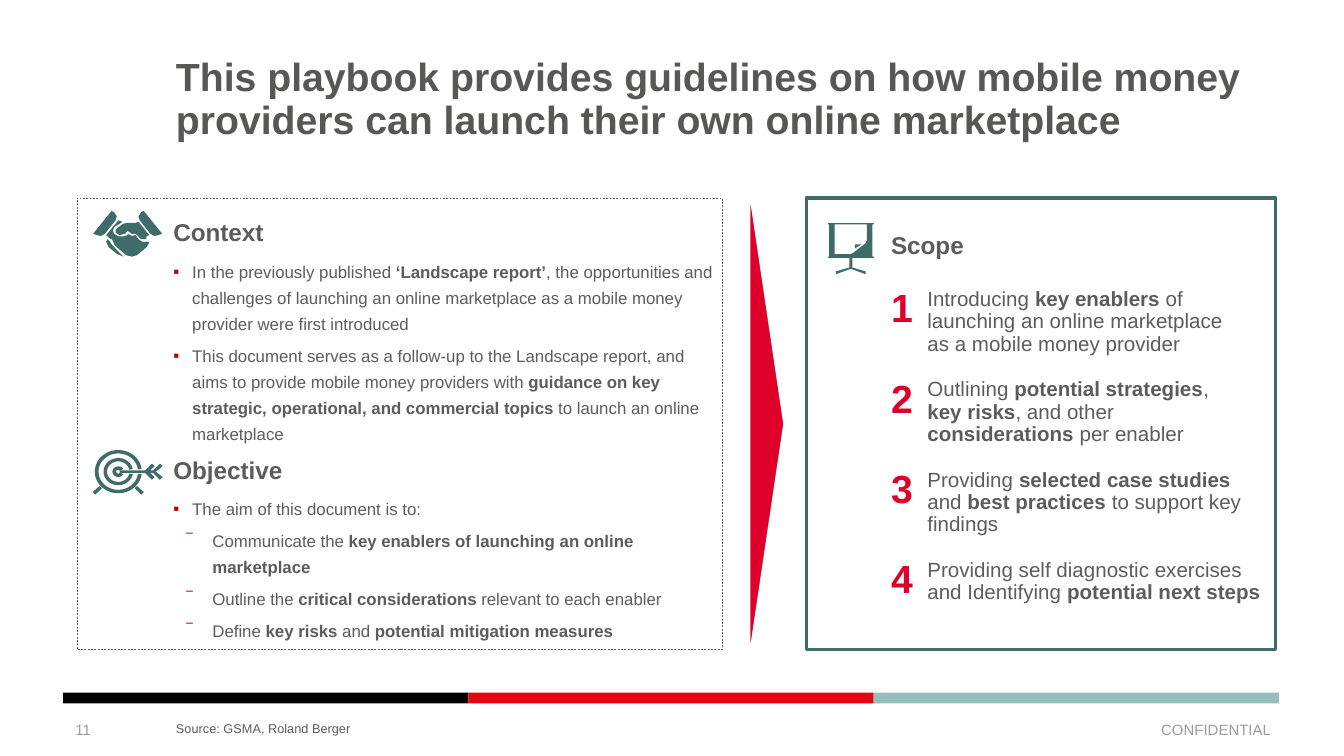
from math import cos, sin, radians

from lxml import etree
from pptx import Presentation
from pptx.dml.color import RGBColor
from pptx.enum.dml import MSO_LINE
from pptx.enum.shapes import MSO_SHAPE
from pptx.enum.text import MSO_ANCHOR, PP_ALIGN
from pptx.oxml.ns import qn
from pptx.util import Pt

TEAL, RED, GREY = "3F6B69", "DE002B", "5C5C5C"
BULLETS = {1: ("▪", 10.1, -10.1), 2: ("‾", 20.9, -13.7)}

CONTEXT = [
    (1, "In the previously published **‘Landscape report’**, the opportunities and challenges "
        "of launching an online marketplace as a mobile money provider were first introduced"),
    (1, "This document serves as a follow-up to the Landscape report, and aims to provide mobile "
        "money providers with **guidance on key strategic, operational, and commercial topics** "
        "to launch an online marketplace"),
]
OBJECTIVE = [
    (1, "The aim of this document is to:"),
    (2, "Communicate the **key enablers of launching an online marketplace**"),
    (2, "Outline the **critical considerations **relevant to each enabler"),
    (2, "Define **key risks **and **potential mitigation measures**"),
]
SCOPE = [
    "Introducing **key enablers **of launching an online marketplace as a mobile money provider",
    "Outlining **potential strategies**, **key risks**, and other **considerations** per enabler",
    "Providing **selected case studies **and **best practices **to support key findings",
    "Providing self diagnostic exercises and Identifying **potential next steps**",
]

# Icon outlines, in points on the slide
HANDS = [
    [(63.4, 118.1), (65.5, 118.8), (64.8, 119.5), (61.2, 121.7), (60.5, 123.8), (61.2, 125.3),
     (63.4, 126.7), (66.2, 126.7), (68.4, 126), (68.4, 125.3), (70.6, 126.4), (72.7, 126),
     (74.2, 128.2), (76.3, 129.6), (79.9, 129.6), (79.9, 130.3), (78.5, 132.5), (73.4, 136.8),
     (70.6, 137.5), (67.7, 136.8), (62.6, 132.5), (61.2, 131), (60.5, 128.9), (59.8, 128.2),
     (58.3, 127.4), (56.9, 126)],
    [(74.2, 118.8), (72.7, 119.5), (67.7, 119.5), (65.5, 120.2), (61.9, 123.1), (61.9, 124.6),
     (64.1, 126), (67, 125.3), (68.4, 123.8), (70.6, 125.3), (72.7, 125.3), (75.6, 128.2),
     (78.5, 128.2), (78.5, 126.7), (79.9, 126)],
    [(66.2, 137.5), (62.6, 136.1), (58.3, 132.5), (56.9, 129.6), (57.6, 128.2), (59, 129.6),
     (59.8, 131), (61.9, 133.2)],
]
SLEEVE = [(49.9, 125.3), (51.8, 126), (54, 126.5), (56.2, 125.3), (61.9, 118.1), (62.6, 115.9),
          (61.2, 113.8), (59.8, 113)]
EASEL_HALF = [(455.8, 119.5), (443.5, 119.5), (443.5, 120.2), (444.2, 120.2), (444.2, 137.5),
              (443.5, 137.5), (443.5, 138.2), (455, 138.2), (455, 143.3), (447.8, 145.4),
              (447.8, 146.9), (455.8, 144)]
EASEL_SHEET = [(464.4, 128.9), (463.7, 130.3), (457.2, 135.4), (455.8, 136.1), (447.1, 136.1),
               (447.1, 120.2), (464.4, 120.2)]
EASEL_FOLD = [(457.9, 131), (457.9, 133.2), (461.5, 131)]
ARROW = [(85.7, 257), (87.1, 255.6), (83.5, 252.7), (87.1, 249.8), (85.7, 248.4), (82.1, 252),
         (80.6, 252), (82.8, 249.8), (81.4, 248.4), (77.8, 252), (64.1, 252), (64.1, 253.4),
         (77.8, 253.4), (81.4, 257), (82.8, 255.6), (80.6, 253.4), (82.1, 253.4)]
TARGET_FOOT = [(49.7, 263.7), (51.1, 265), (54.7, 261.6), (53.3, 260.4)]


def rgb(value):
    return RGBColor.from_string(value)


def style(sp, fill=None, line=None, width=1):
    sp.shadow.inherit = False
    if fill:
        sp.fill.solid()
        sp.fill.fore_color.rgb = rgb(fill)
    else:
        sp.fill.background()
    if line:
        sp.line.color.rgb = rgb(line)
        sp.line.width = Pt(width)
    else:
        sp.line.fill.background()
    return sp


def add_preset(s, kind, box, **look):
    return style(s.shapes.add_shape(kind, *map(Pt, box)), **look)


def add_outline(s, *contours):
    """Draw closed polygons as one shape; inner polygons become holes."""
    pts = [[(Pt(x), Pt(y)) for x, y in contour] for contour in contours]
    builder = s.shapes.build_freeform(*pts[0][0])
    for i, contour in enumerate(pts):
        if i:
            builder.move_to(*contour[0])
        builder.add_line_segments(contour[1:], close=True)
    style(builder.convert_to_shape(), fill=TEAL)


def mirror(points, axis):
    return [(2 * axis - x, y) for x, y in points]


def open_ring(outer, inner, gap):
    """Ring around the target's centre, open on its right side by gap degrees each way."""
    angles = [radians(gap + i * (360 - 2 * gap) / 40) for i in range(41)]
    arcs = [[(63.4 + r * cos(a), 252.7 + r * 0.92 * sin(a)) for a in angles]
            for r in (outer, inner)]
    return arcs[0] + arcs[1][::-1]


def add_bullet(p, level):
    char, margin, indent = BULLETS[level]
    p.level = level
    pPr = p._p.get_or_add_pPr()
    pPr.set("marL", str(Pt(margin)))
    pPr.set("indent", str(Pt(indent)))
    color = etree.SubElement(pPr, qn("a:buClr"))
    etree.SubElement(color, qn("a:srgbClr")).set("val", "C00000")
    etree.SubElement(pPr, qn("a:buFont")).set("typeface", "Arial")
    etree.SubElement(pPr, qn("a:buChar")).set("char", char)


def add_runs(p, text, size, color, bold=False):
    """Fill a paragraph; parts between double asterisks are bold."""
    for i, part in enumerate(text.split("**")):
        if part:
            r = p.add_run()
            r.text = part
            r.font.color.rgb = rgb(color)
            fmt = {"name": "Arial", "size": Pt(size), "bold": bold or i % 2 == 1}
            for key, value in fmt.items():
                setattr(r.font, key, value)


def add_text(s, box, text, size, color=GREY, bold=False, spacing=0.9,
             anchor=MSO_ANCHOR.TOP, align=PP_ALIGN.LEFT):
    """Text is one string, or a list of (level, string) bullets."""
    tf = s.shapes.add_textbox(*map(Pt, box)).text_frame
    fmt = {"word_wrap": True, "vertical_anchor": anchor, "margin_left": 0, "margin_right": 0,
           "margin_top": 0, "margin_bottom": 0}
    for key, value in fmt.items():
        setattr(tf, key, value)
    items = [(0, text)] if isinstance(text, str) else text
    for i, (level, line) in enumerate(items):
        p = tf.add_paragraph() if i else tf.paragraphs[0]
        p.alignment, p.line_spacing = align, spacing
        if i:
            p.space_before = Pt(3)
        if level:
            add_bullet(p, level)
        add_runs(p, line, size, color, bold)


def add_footer(s):
    for i, color in enumerate(("000000", "E30613", "94BFBD")):
        add_preset(s, MSO_SHAPE.RECTANGLE, (33.8 + 217.1 * i, 371, 217.1, 5.8), fill=color)
    add_text(s, (40.4, 380.2, 150, 21.6), "11", 8, "9C9C9C", spacing=1,
             anchor=MSO_ANCHOR.MIDDLE)
    add_text(s, (531, 380.2, 150, 21.6), "CONFIDENTIAL", 8, "9C9C9C", spacing=1,
             anchor=MSO_ANCHOR.MIDDLE, align=PP_ALIGN.RIGHT)
    add_text(s, (94.3, 387.2, 150, 7.2), "Source: GSMA, Roland Berger", 6.8,
             anchor=MSO_ANCHOR.BOTTOM)


def add_icons(s):
    add_outline(s, *HANDS)
    add_outline(s, SLEEVE, mirror(SLEEVE, 68.4))
    for ring in ((12.6, 10.6, 7), (7.9, 6, 11), (3.1, 1.1, 30)):
        add_outline(s, open_ring(*ring))
    add_outline(s, TARGET_FOOT)
    add_outline(s, mirror(TARGET_FOOT, 63.4))
    add_outline(s, ARROW)
    add_outline(s, EASEL_HALF + mirror(EASEL_HALF, 455.8)[::-1], EASEL_SHEET)
    add_outline(s, EASEL_FOLD)


def add_background_panel(s):
    panel = add_preset(s, MSO_SHAPE.RECTANGLE, (41.3, 106, 345.6, 242), line=GREY, width=0.25)
    panel.line.dash_style = MSO_LINE.DASH
    for top, heading, bullets in ((118.1, "Context", CONTEXT), (245.4, "Objective", OBJECTIVE)):
        add_text(s, (92.9, top, 83.5, 14.4), heading, 13, bold=True)
        add_text(s, (92.9, top + 18.8, 290, 100), bullets, 9, spacing=Pt(14))


def add_scope_panel(s):
    add_preset(s, MSO_SHAPE.RECTANGLE, (432, 106, 251.3, 242), line=TEAL, width=2)
    add_text(s, (477.4, 125, 83.5, 14.4), "Scope", 13, bold=True)
    for i, text in enumerate(SCOPE):
        top = 154.8 + 48.4 * i
        add_text(s, (477.4, top, 12, 23), str(i + 1), 21, RED, bold=True)
        add_text(s, (496.8, top, 184 if i == 3 else 171.4, 36), text, 11)


def main():
    prs = Presentation()
    prs.slide_width, prs.slide_height = Pt(720), Pt(405)
    s = prs.slides.add_slide(prs.slide_layouts[6])
    add_footer(s)
    add_text(s, (94.3, 31, 602.6, 67.7), "This playbook provides guidelines on how mobile money "
             "providers can launch their own online marketplace", 21, "575756", bold=True)
    add_background_panel(s)
    add_scope_panel(s)
    add_icons(s)
    pointer = add_preset(s, MSO_SHAPE.ISOSCELES_TRIANGLE, (280.1, 217.4, 261.4, 19.4),
                         fill=RED, line="FFFFFF", width=1.75)
    pointer.rotation = 90
    prs.save("out.pptx")


if __name__ == "__main__":
    main()
